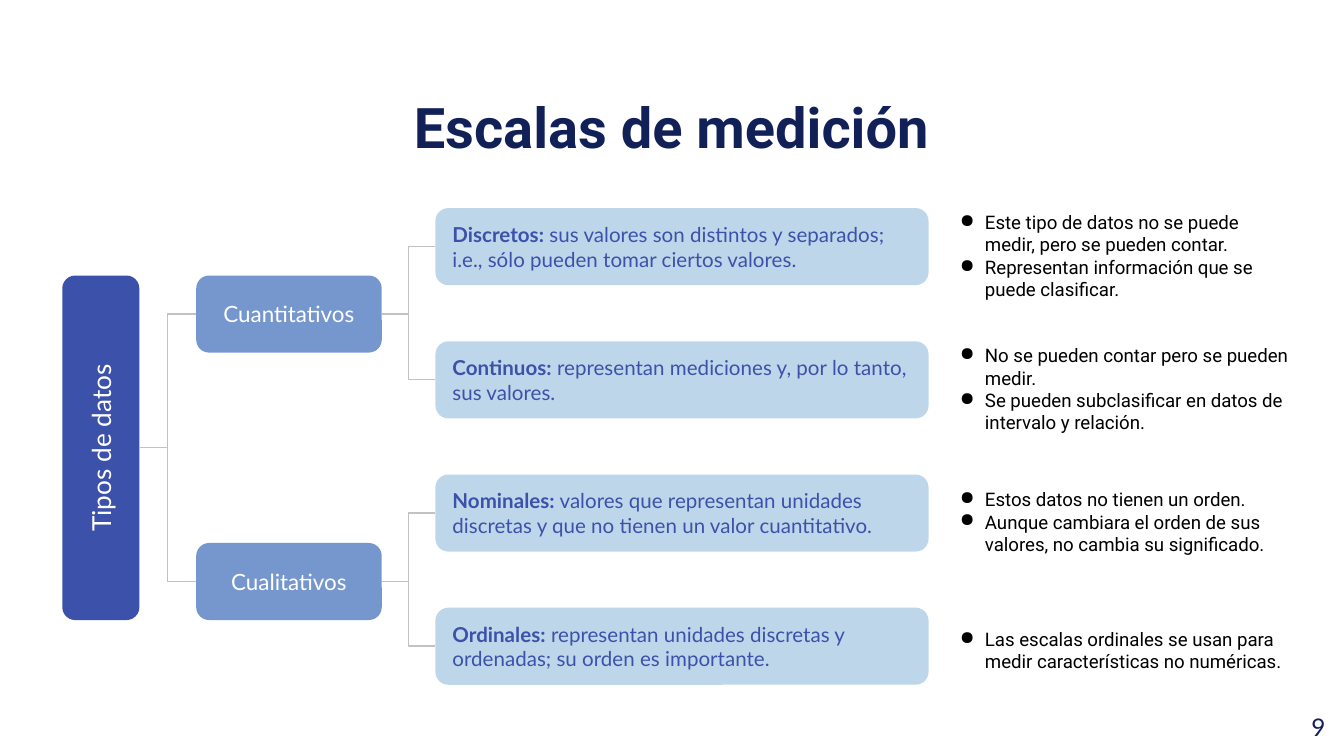
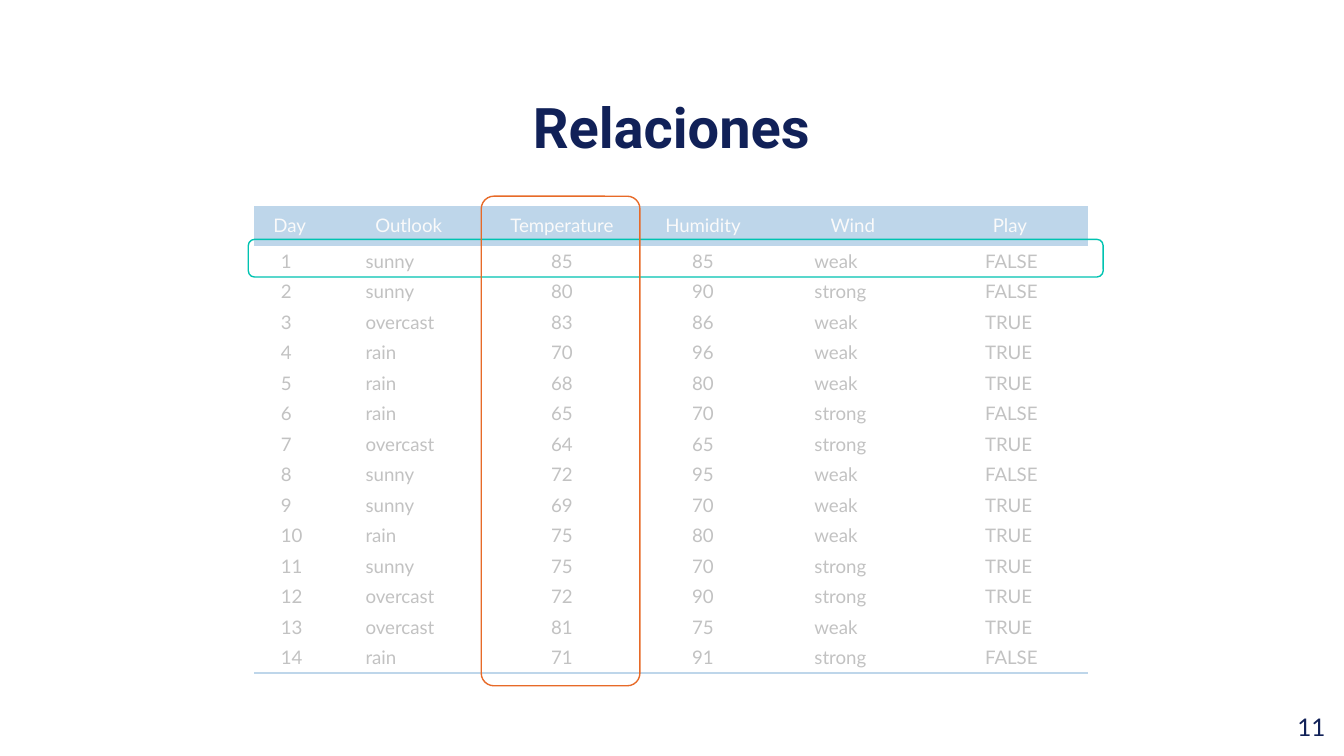
import pptx
import pptx.util
import pptx.dml.color
import pptx.enum.shapes
import pptx.enum.text
import pptx.oxml
import pptx.oxml.ns
from lxml import etree

Pt = pptx.util.Pt
SHAPE = pptx.enum.shapes.MSO_SHAPE
ALIGN = pptx.enum.text.PP_ALIGN
ANCHOR = pptx.enum.text.MSO_ANCHOR
qn = pptx.oxml.ns.qn

NAVY, INDIGO, BLUE, PALE = "112158", "3C51A9", "7697CE", "BED6EA"
WHITE, OFF_WHITE, BLACK, GRAY = "FFFFFF", "FAFAFA", "000000", "C2C2C2"
TEAL, ORANGE = "00C3B1", "E76A28"
BODY, HEAD = "Lato", "Roboto"
NO_GRID_STYLE = "{2D5ABB26-0587-4C30-8999-92F81FD0307C}"
INSET = 7.2

BOX_H = 41.3
BRANCH_X, BRANCH_W = 105.1, 99.4
LEAF_X, LEAF_W, LEAF_TOP, LEAF_STEP = 233.3, 264.2, 111.5, 71.35
NOTE_X, NOTE_W, NOTE_LINE = 502.6, 197.3, 12.2
BRANCHES = [("Cuantitativos", 147.6), ("Cualitativos", 290.9)]
# lead, definition, top of the notes, notes
LEAVES = [
    ("Discretos:", " sus valores son distintos y separados; i.e., sólo pueden tomar ciertos valores.", 105.8,
     ["Este tipo de datos no se puede medir, pero se pueden contar.",
      "Representan información que se puede clasificar."]),
    ("Continuos:", " representan mediciones y, por lo tanto, sus valores.", 177.1,
     ["No se pueden contar pero se pueden medir.",
      "Se pueden subclasificar en datos de intervalo y relación."]),
    ("Nominales:", " valores que representan unidades discretas y que no tienen un valor cuantitativo.", 254.2,
     ["Estos datos no tienen un orden.",
      "Aunque cambiara el orden de sus valores, no cambia su significado."]),
    ("Ordinales:", " representan unidades discretas y ordenadas; su orden es importante.", 329,
     ["Las escalas ordinales se usan para medir características no numéricas."]),
]

# heading, width, left inset of the values (None: centred)
COLUMNS = [("Day", 38.2, 14.4), ("Outlook", 89.3, 21.6), ("Temperature", 74.9, None),
           ("Humidity", 76.3, None), ("Wind", 84.2, 21.6), ("Play", 84.2, 28.8)]
HEADER_H, ROW_H = 21.4, 16.3
DAYS = """\
sunny 85 85 weak FALSE
sunny 80 90 strong FALSE
overcast 83 86 weak TRUE
rain 70 96 weak TRUE
rain 68 80 weak TRUE
rain 65 70 strong FALSE
overcast 64 65 strong TRUE
sunny 72 95 weak FALSE
sunny 69 70 weak TRUE
rain 75 80 weak TRUE
sunny 75 70 strong TRUE
overcast 72 90 strong TRUE
overcast 81 75 weak TRUE
rain 71 91 strong FALSE"""


def rgb(color):
    return pptx.dml.color.RGBColor.from_string(color)


def add_text(p, text, size=10, color=BLACK, font=BODY, bold=False, align=ALIGN.LEFT):
    p.alignment = align
    r = p.add_run()
    r.text = text
    r.font.size = Pt(size)
    r.font.name = font
    r.font.bold = bold
    r.font.color.rgb = rgb(color)


def set_frame(tf, anchor):
    tf.word_wrap = True
    tf.vertical_anchor = anchor
    tf.margin_left = tf.margin_right = tf.margin_top = tf.margin_bottom = Pt(INSET)


def add_textbox(s, x, y, w, h, anchor=ANCHOR.TOP):
    tf = s.shapes.add_textbox(Pt(x), Pt(y), Pt(w), Pt(h)).text_frame
    set_frame(tf, anchor)
    return tf


def add_box(s, x, y, w, h, fill=None, line=None, corner=0.167):
    sp = s.shapes.add_shape(SHAPE.ROUNDED_RECTANGLE, Pt(x), Pt(y), Pt(w), Pt(h))
    sp.shadow.inherit = False
    sp.adjustments[0] = corner
    if fill:
        sp.fill.solid()
        sp.fill.fore_color.rgb = rgb(fill)
    else:
        sp.fill.background()
    if line:
        sp.line.color.rgb = rgb(line)
        sp.line.width = Pt(0.75)
    else:
        sp.line.fill.background()
    set_frame(sp.text_frame, ANCHOR.MIDDLE)
    return sp


def add_elbow(s, x, y, child, parent=None):
    """Join the point (x, y), or the right side of parent, to the left side of child."""
    cx = s.shapes.add_connector(pptx.enum.shapes.MSO_CONNECTOR.ELBOW, Pt(x), Pt(y),
                                child.left, child.top + child.height // 2)
    if parent is not None:
        cx.begin_connect(parent, 3)
    cx.end_connect(child, 1)
    cx.line.color.rgb = rgb(GRAY)
    cx.line.width = Pt(0.75)
    etree.SubElement(cx._element.spPr, qn("a:effectLst"))


def add_notes(s, y, notes):
    tf = add_textbox(s, NOTE_X, y, NOTE_W, 2 * INSET + 2 * len(notes) * NOTE_LINE)
    tf.auto_size = pptx.enum.text.MSO_AUTO_SIZE.SHAPE_TO_FIT_TEXT
    for i, note in enumerate(notes):
        p = tf.add_paragraph() if i else tf.paragraphs[0]
        pPr = p._p.get_or_add_pPr()
        pPr.set("marL", str(Pt(18)))
        pPr.set("indent", str(-Pt(13.5)))
        bullet_color = etree.SubElement(pPr, qn("a:buClr"))
        etree.SubElement(bullet_color, qn("a:srgbClr"), val=BLACK)
        etree.SubElement(pPr, qn("a:buChar"), char="●")
        add_text(p, note, font=HEAD)


def add_slide(prs, title, number):
    s = prs.slides.add_slide(prs.slide_layouts[6])
    s.background.fill.solid()
    s.background.fill.fore_color.rgb = rgb(WHITE)
    tf = add_textbox(s, 56.2, 42.5, 607, 45.4)
    add_text(tf.paragraphs[0], title, size=30, color=NAVY, font=HEAD, bold=True, align=ALIGN.CENTER)
    tf = add_textbox(s, 673.9, 373.7, 43.2, 31, ANCHOR.MIDDLE)
    add_text(tf.paragraphs[0], str(number), size=13, color=NAVY, align=ALIGN.RIGHT)
    return s


def add_scales_tree(s):
    top, bottom = BRANCHES[0][1], BRANCHES[-1][1] + BOX_H
    mid_x, mid_y, length = 54, (top + bottom) / 2, bottom - top
    root = add_box(s, mid_x - length / 2, mid_y - BOX_H / 2, length, BOX_H, INDIGO)
    root.rotation = 270
    add_text(root.text_frame.paragraphs[0], "Tipos de datos", size=14, color=WHITE, align=ALIGN.CENTER)

    branches = []
    for name, y in BRANCHES:
        sp = add_box(s, BRANCH_X, y, BRANCH_W, BOX_H, BLUE)
        add_text(sp.text_frame.paragraphs[0], name, size=12, color=WHITE, align=ALIGN.CENTER)
        add_elbow(s, mid_x + BOX_H / 2, mid_y, sp)
        branches.append(sp)

    for i, (lead, definition, note_y, notes) in enumerate(LEAVES):
        sp = add_box(s, LEAF_X, LEAF_TOP + i * LEAF_STEP, LEAF_W, BOX_H, PALE)
        p = sp.text_frame.paragraphs[0]
        add_text(p, lead, size=11, color=INDIGO, bold=True)
        add_text(p, definition, size=11, color=INDIGO)
        branch_y = BRANCHES[i // 2][1] + BOX_H / 2
        add_elbow(s, BRANCH_X + BRANCH_W, branch_y, sp, branches[i // 2])
        add_notes(s, note_y, notes)


def set_cell(cell, text, color, inset=None, fill=None):
    cell.vertical_anchor = ANCHOR.MIDDLE
    cell.margin_left, cell.margin_right = Pt(inset or INSET), Pt(INSET)
    cell.margin_top = cell.margin_bottom = Pt(2.16)
    if fill:
        cell.fill.solid()
        cell.fill.fore_color.rgb = rgb(fill)
    else:
        cell.fill.background()
    add_text(cell.text_frame.paragraphs[0], text, color=color,
             align=ALIGN.LEFT if inset else ALIGN.CENTER)


def add_bottom_border(cell, color, width):
    ln = etree.Element(qn("a:lnB"), w=str(Pt(width)))
    fill = etree.SubElement(ln, qn("a:solidFill"))
    etree.SubElement(fill, qn("a:srgbClr"), val=color)
    cell._tc.get_or_add_tcPr().insert(0, ln)


def add_weather_table(s):
    days = [[str(i), *day.split()] for i, day in enumerate(DAYS.splitlines(), 1)]
    width = sum(w for _, w, _ in COLUMNS)
    table = s.shapes.add_table(len(days) + 1, len(COLUMNS), Pt(136.1), Pt(110.2),
                               Pt(width), Pt(HEADER_H + len(days) * ROW_H)).table
    table.first_row = table.horz_banding = False
    table._tbl.tblPr.find(qn("a:tableStyleId")).text = NO_GRID_STYLE
    for i, row in enumerate(table.rows):
        row.height = Pt(ROW_H if i else HEADER_H)
    for j, (heading, w, inset) in enumerate(COLUMNS):
        table.columns[j].width = Pt(w)
        set_cell(table.cell(0, j), heading, OFF_WHITE, fill=PALE)
        for i, day in enumerate(days, 1):
            set_cell(table.cell(i, j), day[j], GRAY, inset)
        add_bottom_border(table.cell(len(days), j), PALE, 1.5)


def main():
    prs = pptx.Presentation()
    prs.slide_width, prs.slide_height = Pt(720), Pt(405)

    add_scales_tree(add_slide(prs, "Escalas de medición", 9))

    s = add_slide(prs, "Relaciones", 11)
    add_weather_table(s)
    add_box(s, 133, 128.2, 458, 20.2, line=TEAL)
    add_box(s, 257.8, 105.1, 85, 262.3, line=ORANGE, corner=0.08)

    prs.save("out.pptx")


if __name__ == "__main__":
    main()
